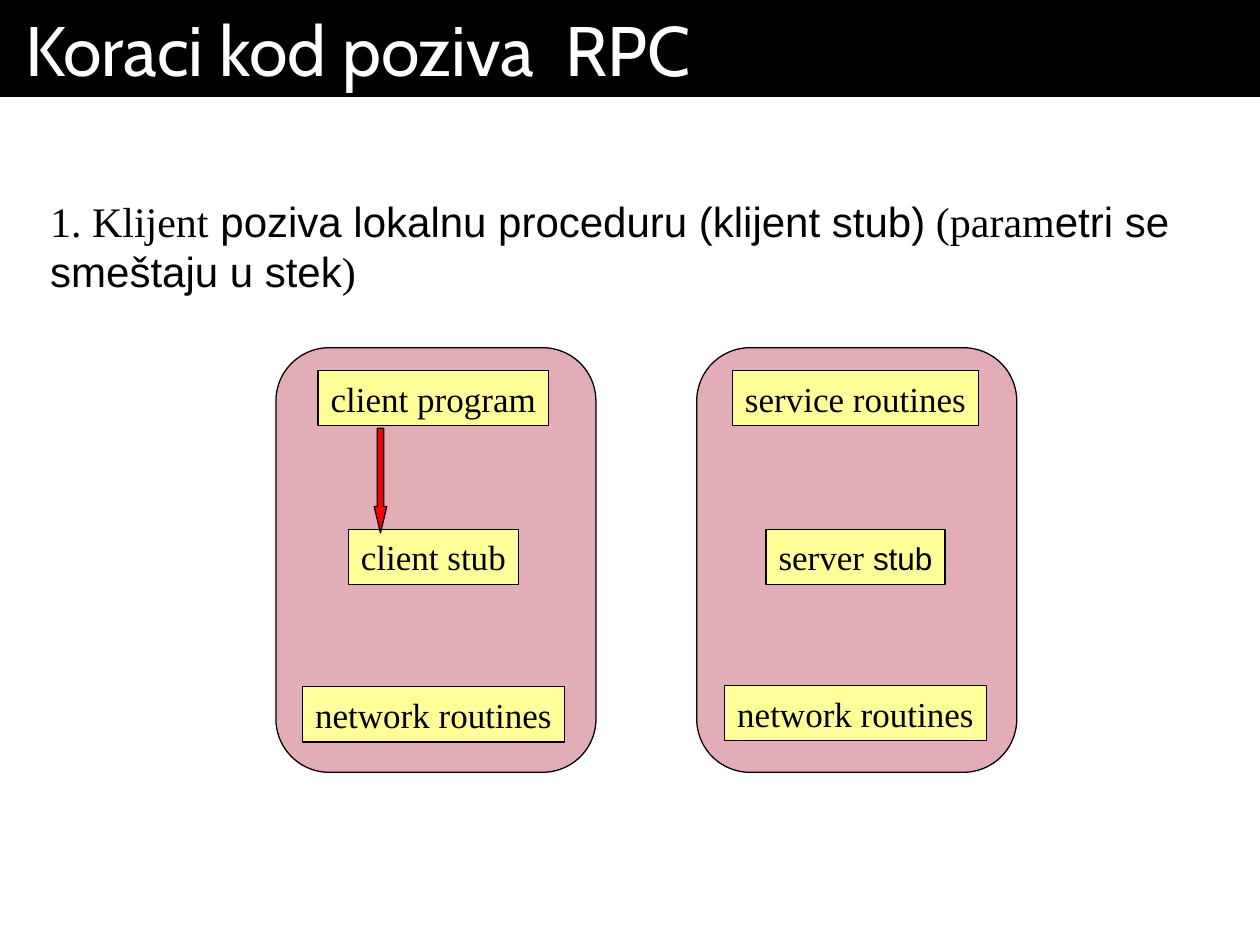
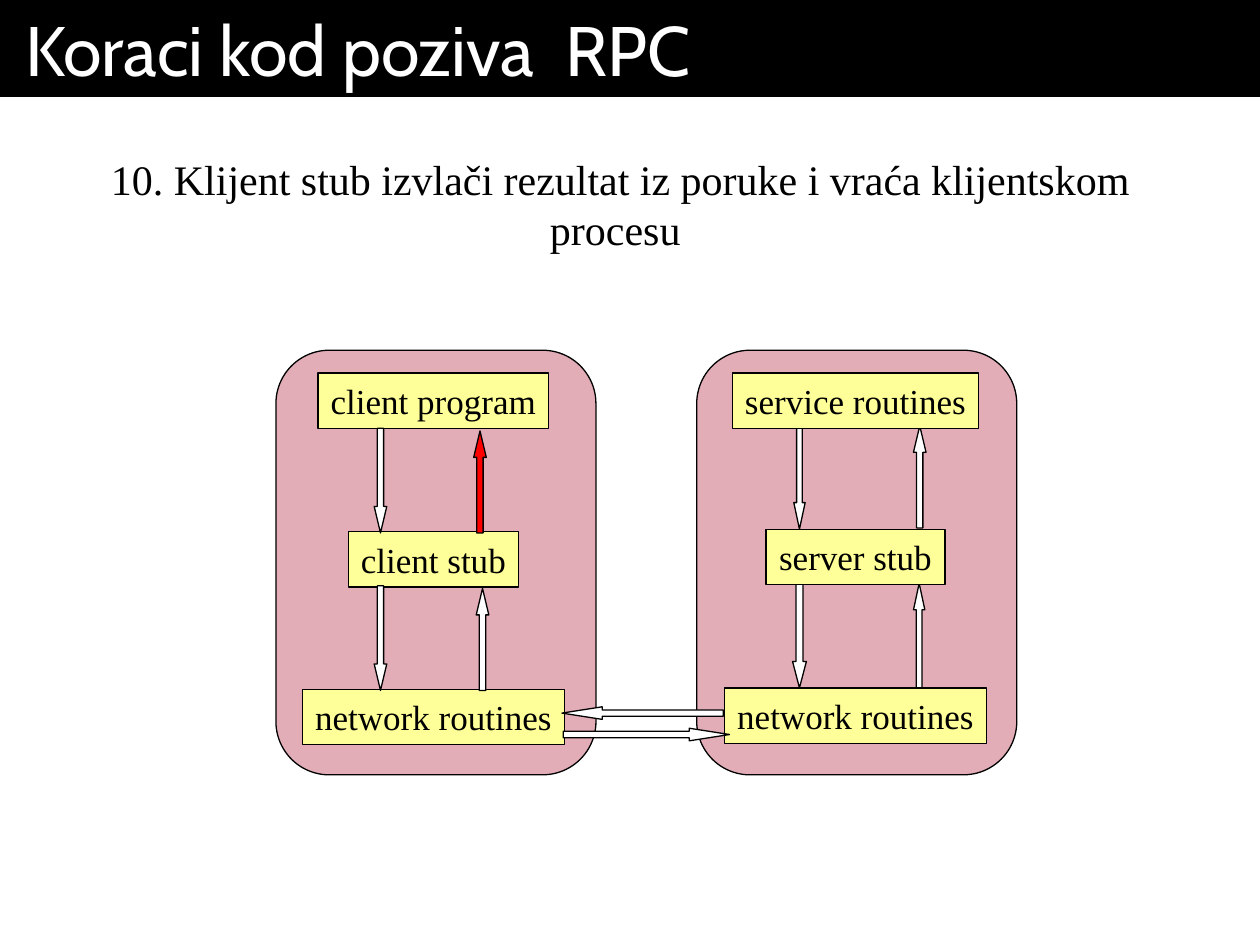
from lxml.etree import SubElement
from pptx import Presentation
from pptx.dml.color import RGBColor
from pptx.enum.shapes import MSO_SHAPE
from pptx.enum.text import MSO_ANCHOR, PP_ALIGN
from pptx.oxml.ns import qn
from pptx.util import Inches, Pt

BLACK = RGBColor(0x00, 0x00, 0x00)
WHITE = RGBColor(0xFF, 0xFF, 0xFF)
RED = RGBColor(0xFF, 0x00, 0x00)
YELLOW = RGBColor(0xFF, 0xFF, 0x99)
CRIMSON = RGBColor(0xA5, 0x00, 0x21)

SERIF, SANS, TITLE_FONT = "Times New Roman", "Arial", "Cabin"
TITLE = "Koraci kod poziva  RPC"

# Diagram columns and box sizes
PANEL_LEFTS = (2.19, 5.53)
PANEL_WIDTH, PANEL_HEIGHT = 2.54, 3.37
CLIENT_CENTER, SERVER_CENTER = 3.44, 6.79
BOX_HEIGHT = 0.44

DOWN, UP = MSO_SHAPE.DOWN_ARROW, MSO_SHAPE.UP_ARROW
LEFT, RIGHT = MSO_SHAPE.LEFT_ARROW, MSO_SHAPE.RIGHT_ARROW

# Arrows: kind, left, top, width, height, colour
CALL_ARROW = (DOWN, 2.97, 3.4, 0.1, 0.83)
FIRST_STEP = [(*CALL_ARROW, RED)]
LAST_STEP = [
    (*CALL_ARROW, WHITE),
    (DOWN, 2.97, 4.65, 0.1, 0.83, WHITE),
    (RIGHT, 4.47, 5.78, 1.32, 0.1, WHITE),
    (LEFT, 4.46, 5.61, 1.28, 0.1, WHITE),
    (UP, 3.78, 4.67, 0.1, 0.81, WHITE),
    (UP, 3.76, 3.42, 0.1, 0.81, RED),
    (UP, 7.25, 4.63, 0.09, 0.83, WHITE),
    (UP, 7.25, 3.38, 0.1, 0.81, WHITE),
    (DOWN, 6.3, 3.4, 0.09, 0.8, WHITE),
    (DOWN, 6.29, 4.63, 0.11, 0.83, WHITE),
]


def add_text(box, text, *, font=SERIF, size=20, color=BLACK,
             align=PP_ALIGN.LEFT, anchor=MSO_ANCHOR.MIDDLE, wrap=True, inset=0.1):
    """Write a string, or a list of (text, font, size) spans, into a box."""
    frame = box.text_frame
    frame.word_wrap = wrap
    frame.vertical_anchor = anchor
    frame.margin_left = frame.margin_right = Inches(inset)
    frame.margin_top = frame.margin_bottom = Inches(0.05)
    para = frame.paragraphs[0]
    para.alignment = align
    spans = [(text, font, size)] if isinstance(text, str) else text
    for words, span_font, span_size in spans:
        span = para.add_run()
        span.text = words
        span.font.name = span_font
        span.font.size = Pt(span_size)
        span.font.color.rgb = color


def add_filled_shape(page, kind, left, top, width, height, color, outlined=True):
    shape = page.shapes.add_shape(
        kind, Inches(left), Inches(top), Inches(width), Inches(height))
    shape.shadow.inherit = False
    shape.fill.solid()
    shape.fill.fore_color.rgb = color
    if outlined:
        shape.line.color.rgb = BLACK
        shape.line.width = Pt(0.75)
    else:
        shape.line.fill.background()
    return shape


def add_title(page):
    band = add_filled_shape(page, MSO_SHAPE.RECTANGLE, 0, 0, 10, 0.77, BLACK, outlined=False)
    add_text(band, TITLE, font=TITLE_FONT, size=40, color=WHITE, inset=0.2)


def add_step(page, left, top, width, text, align):
    box = page.shapes.add_textbox(Inches(left), Inches(top), Inches(width), Inches(0.9))
    add_text(box, text, size=24, align=align, anchor=MSO_ANCHOR.TOP)


def add_panel(page, left, top):
    panel = add_filled_shape(page, MSO_SHAPE.ROUNDED_RECTANGLE, left, top,
                             PANEL_WIDTH, PANEL_HEIGHT, CRIMSON)
    color = panel.fill._xPr.find(qn("a:solidFill"))[0]
    SubElement(color, qn("a:alpha"), val="32000")


def add_label(page, center, top, width, text):
    box = add_filled_shape(page, MSO_SHAPE.RECTANGLE, center - width / 2, top,
                           width, BOX_HEIGHT, YELLOW)
    add_text(box, text, align=PP_ALIGN.CENTER, wrap=False)


def add_arrow(page, kind, left, top, width, height, color):
    arrow = add_filled_shape(page, kind, left, top, width, height, color)
    head_length = 0.32 if kind in (LEFT, RIGHT) else 0.21
    arrow.adjustments[0] = 0.5
    arrow.adjustments[1] = head_length / min(width, height)


def add_diagram(page, top, arrows, server_stub):
    for left in PANEL_LEFTS:
        add_panel(page, left, top)
    add_label(page, CLIENT_CENTER, top + 0.18, 1.83, "client program")
    add_label(page, CLIENT_CENTER, top + 1.44, 1.35, "client stub")
    add_label(page, CLIENT_CENTER, top + 2.69, 2.08, "network routines")
    add_label(page, SERVER_CENTER, top + 2.68, 2.08, "network routines")
    for arrow in arrows:
        add_arrow(page, *arrow)
    # These two boxes cover the ends of the server arrows
    add_label(page, SERVER_CENTER, 4.2, 1.42, server_stub)
    add_label(page, SERVER_CENTER, top + 0.18, 1.95, "service routines")


def add_page(deck):
    page = deck.slides.add_slide(deck.slide_layouts[6])
    add_title(page)
    return page


def main():
    deck = Presentation()
    deck.slide_width, deck.slide_height = Inches(10), Inches(7.5)

    # Step 1: the client calls its stub
    page = add_page(deck)
    add_diagram(page, 2.76, FIRST_STEP, [("server ", SERIF, 20), ("stub", SANS, 18)])
    add_step(page, 0.3, 1.5, 9.7, [
        ("1. Klijent", SERIF, 24),
        (" poziva lokalnu proceduru (klijent stub)", SANS, 24),
        (" (param", SERIF, 24),
        ("etri se smeštaju u stek", SANS, 24),
        (")", SERIF, 24),
    ], PP_ALIGN.LEFT)

    # Step 10: the result returns to the client
    page = add_page(deck)
    add_diagram(page, 2.78, LAST_STEP, "server stub")
    add_step(page, 0.33, 1.17, 9.19,
             "10. Klijent stub izvlači rezultat iz poruke i vraća klijentskom procesu ",
             PP_ALIGN.CENTER)

    deck.save("out.pptx")


if __name__ == "__main__":
    main()
